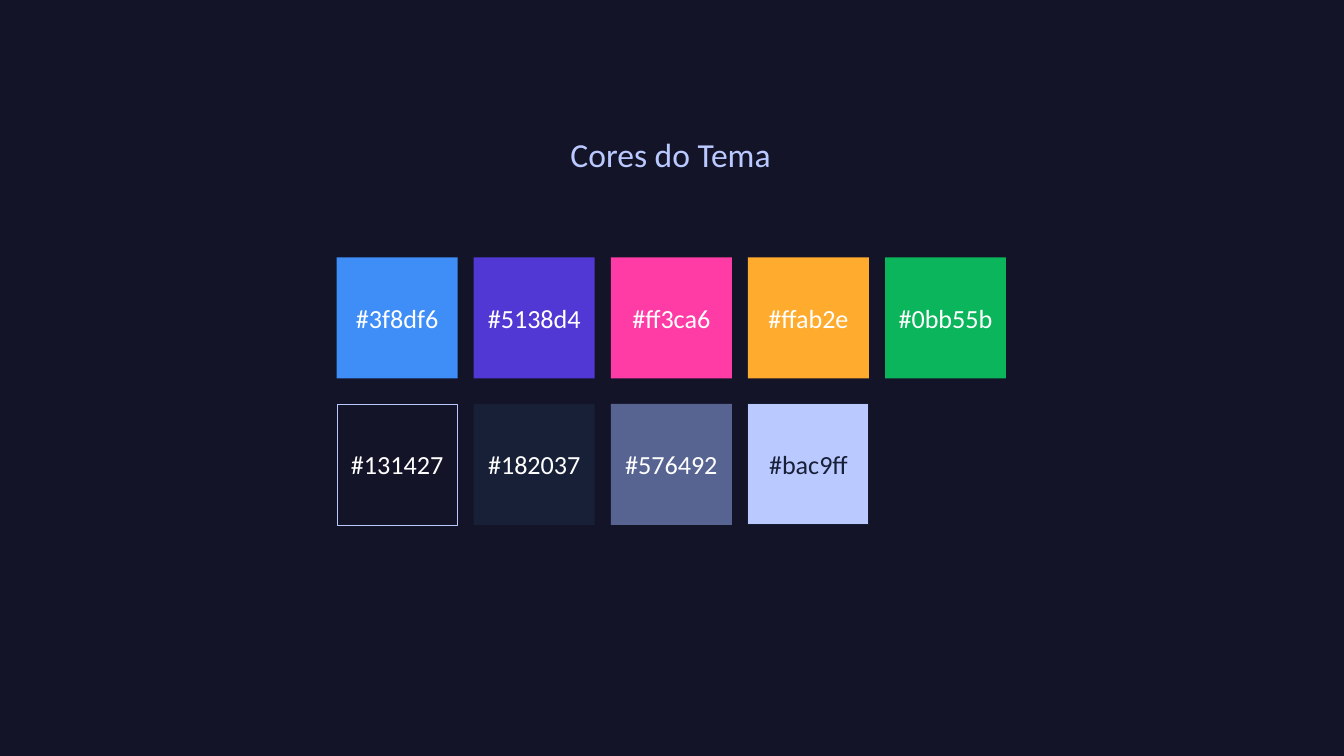
from pptx import Presentation
from pptx import util as u
from pptx.dml import color
from pptx.enum import shapes, text

COLORS = {
    "background": "131427",
    "panel": "182037",
    "edge": "161D32",
    "lavender": "BAC9FF",
    "white": "FFFFFF",
}

# Label, text colour, outline (colour and width in points)
SWATCH_ROWS = [
    [
        ("#3f8df6", "white", None),
        ("#5138d4", "white", None),
        ("#ff3ca6", "white", None),
        ("#ffab2e", "white", None),
        ("#0bb55b", "white", None),
    ],
    [
        ("#131427", "white", ("lavender", 0.25)),
        ("#182037", "white", None),
        ("#576492", "white", None),
        ("#bac9ff", "panel", ("edge", 1)),
    ],
]

LEFT, TOP = 5.01, 3.83
COLUMN_STEP, ROW_STEP = 2.04, 2.18
SWATCH_SIZE = 1.8


def rgb(hex_code):
    return color.RGBColor.from_string(hex_code.upper())


class PaletteSlide:
    font_name = "Calibri"
    title_size = 36
    label_size = 28

    def __init__(self, slide):
        self.slide = slide
        fill = slide.background.fill
        fill.solid()
        fill.fore_color.rgb = rgb(COLORS["background"])

    def set_words(self, frame, words, size, color_name):
        frame.text = words
        font = frame.paragraphs[0].runs[0].font
        font.name = self.font_name
        font.size = u.Pt(size)
        font.color.rgb = rgb(COLORS[color_name])

    def title(self, words, left, top, width, height):
        heading = self.slide.shapes.add_textbox(
            u.Inches(left), u.Inches(top), u.Inches(width), u.Inches(height))
        frame = heading.text_frame
        frame.word_wrap = False
        frame.auto_size = text.MSO_AUTO_SIZE.SHAPE_TO_FIT_TEXT
        self.set_words(frame, words, self.title_size, "lavender")

    def swatch(self, label, text_color, outline, left, top):
        square = self.slide.shapes.add_shape(
            shapes.MSO_SHAPE.RECTANGLE, u.Inches(left), u.Inches(top),
            u.Inches(SWATCH_SIZE), u.Inches(SWATCH_SIZE))
        square.shadow.inherit = False
        square.fill.solid()
        square.fill.fore_color.rgb = rgb(label.lstrip("#"))
        if outline:
            line_color, line_width = outline
            square.line.color.rgb = rgb(COLORS[line_color])
            square.line.width = u.Pt(line_width)
        else:
            square.line.fill.background()
        frame = square.text_frame
        frame.vertical_anchor = text.MSO_ANCHOR.MIDDLE
        self.set_words(frame, label, self.label_size, text_color)
        frame.paragraphs[0].alignment = text.PP_ALIGN.CENTER


def main():
    deck = Presentation()
    deck.slide_width = u.Inches(20)
    deck.slide_height = u.Inches(11.25)
    palette = PaletteSlide(deck.slides.add_slide(deck.slide_layouts[6]))

    # Heading
    palette.title("Cores do Tema", 8.39, 1.95, 3.21, 0.71)

    # Grid of theme colours
    for row, swatches in enumerate(SWATCH_ROWS):
        for column, (label, text_color, outline) in enumerate(swatches):
            palette.swatch(label, text_color, outline,
                           LEFT + column * COLUMN_STEP, TOP + row * ROW_STEP)

    deck.save("out.pptx")


if __name__ == "__main__":
    main()
